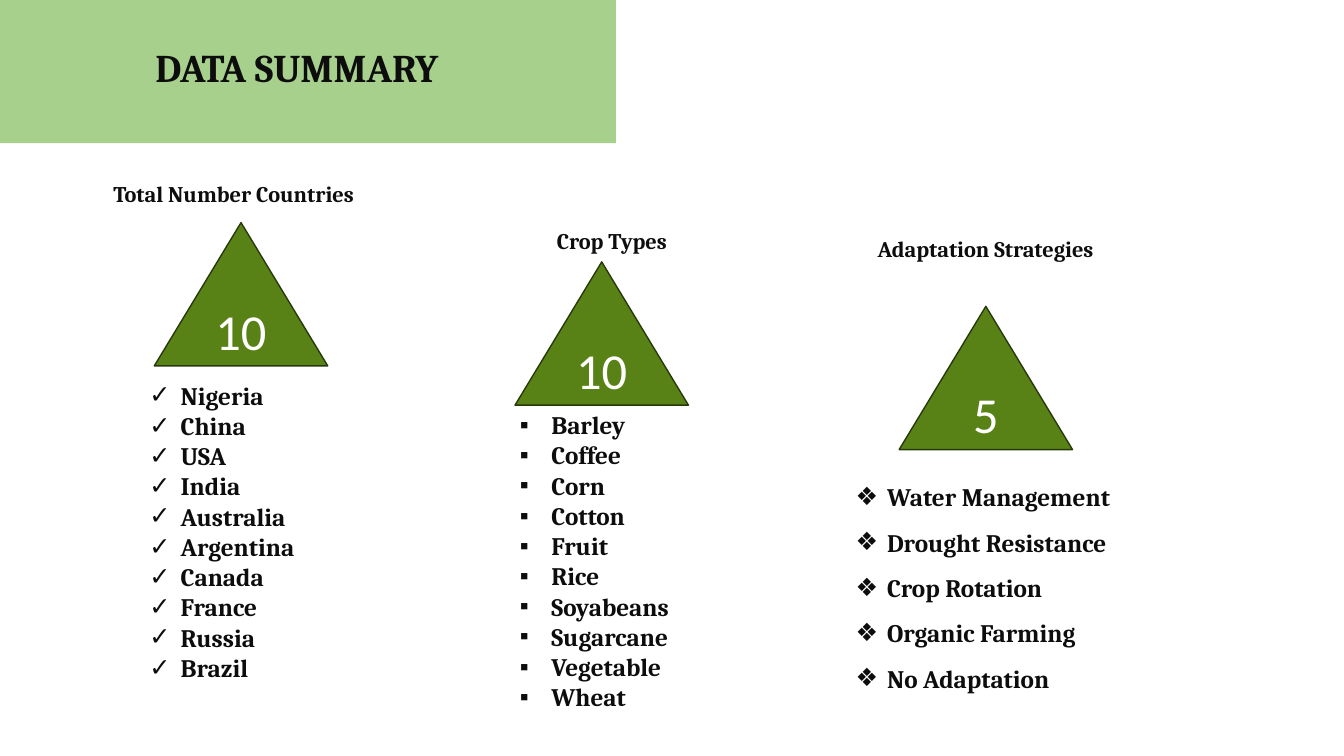
"""Build the data summary slide with three columns of counted items."""
from lxml import etree
from pptx import Presentation
from pptx.dml.color import RGBColor
from pptx.enum import shapes, text
from pptx.oxml import ns
from pptx.util import Cm, Pt

TITLE = "DATA SUMMARY"
COLUMNS = [
    dict(heading="Total Number Countries", heading_at=(1.93, 4.42),
         count="10", triangle_at=(3.89, 5.61),
         bullet="✓", list_box=(3.51, 9.45, 5.94, 7.95), spacing=1.0,
         items=["Nigeria", "China", "USA", "India", "Australia",
                "Argentina", "Canada", "France", "Russia", "Brazil"]),
    dict(heading="Crop Types", heading_at=(11.46, 5.61),
         count="10", triangle_at=(12.98, 6.6),
         bullet="▪", list_box=(12.85, 10.19, 4.52, 7.95), spacing=1.0,
         items=["Barley", "Coffee", "Corn", "Cotton", "Fruit",
                "Rice", "Soyabeans", "Sugarcane", "Vegetable", "Wheat"]),
    dict(heading="Adaptation Strategies", heading_at=(20.88, 5.79),
         count="5", triangle_at=(22.66, 7.72),
         bullet="❖", list_box=(21.31, 11.63, 7.92, 5.89), spacing=1.5,
         items=["Water Management", "Drought Resistance", "Crop Rotation",
                "Organic Farming", "No Adaptation"]),
]

BANNER_BOX = (0, 0, 15.52, 3.61)
TITLE_BOX = (0.61, 0.97, 13.74, 1.45)
HEADING_SIZE = (7.92, 0.94)
TRIANGLE_SIZE = (4.37, 3.61)
INDENT = Cm(0.79)

BANNER_GREEN = RGBColor(0xA8, 0xD0, 0x8D)
TRIANGLE_GREEN = RGBColor(0x59, 0x82, 0x16)
OUTLINE_GREEN = RGBColor(0x27, 0x39, 0x0A)
INK = RGBColor(0x0D, 0x0D, 0x0D)
WHITE = RGBColor(0xFF, 0xFF, 0xFF)


def place(sp, box):
    sp.left, sp.top, sp.width, sp.height = map(Cm, box)


def write(sp, lines, size, font="Cambria", color=INK, bold=True,
          align=text.PP_ALIGN.CENTER, anchor=text.MSO_ANCHOR.TOP, spacing=1.0):
    tf = sp.text_frame
    tf.text = "\n".join(lines)
    tf.word_wrap = True
    tf.auto_size = text.MSO_AUTO_SIZE.NONE
    tf.vertical_anchor = anchor
    for p in tf.paragraphs:
        p.alignment = align
        p.line_spacing = spacing
        p.space_before = p.space_after = Pt(0)
        for r in p.runs:
            r.font.name, r.font.size, r.font.bold = font, Pt(size), bold
            r.font.color.rgb = color


def add_bullets(sp, char):
    for p in sp.text_frame.paragraphs:
        pPr = p._p.get_or_add_pPr()
        pPr.set("marL", str(INDENT))
        pPr.set("indent", str(-INDENT))
        etree.SubElement(pPr, ns.qn("a:buChar")).set("char", char)


def add_filled(s, kind, box, color):
    sp = s.shapes.add_shape(kind, *map(Cm, box))
    sp.shadow.inherit = False
    sp.fill.solid()
    sp.fill.fore_color.rgb = color
    sp.line.fill.background()
    return sp


def add_column(s, body, column):
    tri = add_filled(s, shapes.MSO_SHAPE.ISOSCELES_TRIANGLE,
                     column["triangle_at"] + TRIANGLE_SIZE, TRIANGLE_GREEN)
    tri.line.color.rgb = OUTLINE_GREEN
    tri.line.width = Pt(1)
    write(tri, [column["count"]], 36, "Calibri", WHITE, False,
          anchor=text.MSO_ANCHOR.MIDDLE)

    heading = s.shapes.add_textbox(
        *map(Cm, column["heading_at"] + HEADING_SIZE))
    write(heading, [column["heading"]], 16)

    place(body, column["list_box"])
    write(body, column["items"], 18, align=text.PP_ALIGN.LEFT,
          spacing=column["spacing"])
    add_bullets(body, column["bullet"])


def main():
    prs = Presentation()
    prs.slide_width, prs.slide_height = Cm(33.87), Cm(19.05)
    s = prs.slides.add_slide(prs.slide_layouts.get_by_name("Comparison"))
    title, *bodies = s.placeholders

    banner = add_filled(s, shapes.MSO_SHAPE.RECTANGLE, BANNER_BOX, BANNER_GREEN)
    title.element.addprevious(banner.element)
    place(title, TITLE_BOX)
    write(title, [TITLE], 28)

    for body, column in zip(bodies, COLUMNS):
        add_column(s, body, column)
    for spare in bodies[len(COLUMNS):]:
        spare.element.getparent().remove(spare.element)

    prs.save("out.pptx")


if __name__ == "__main__":
    main()
